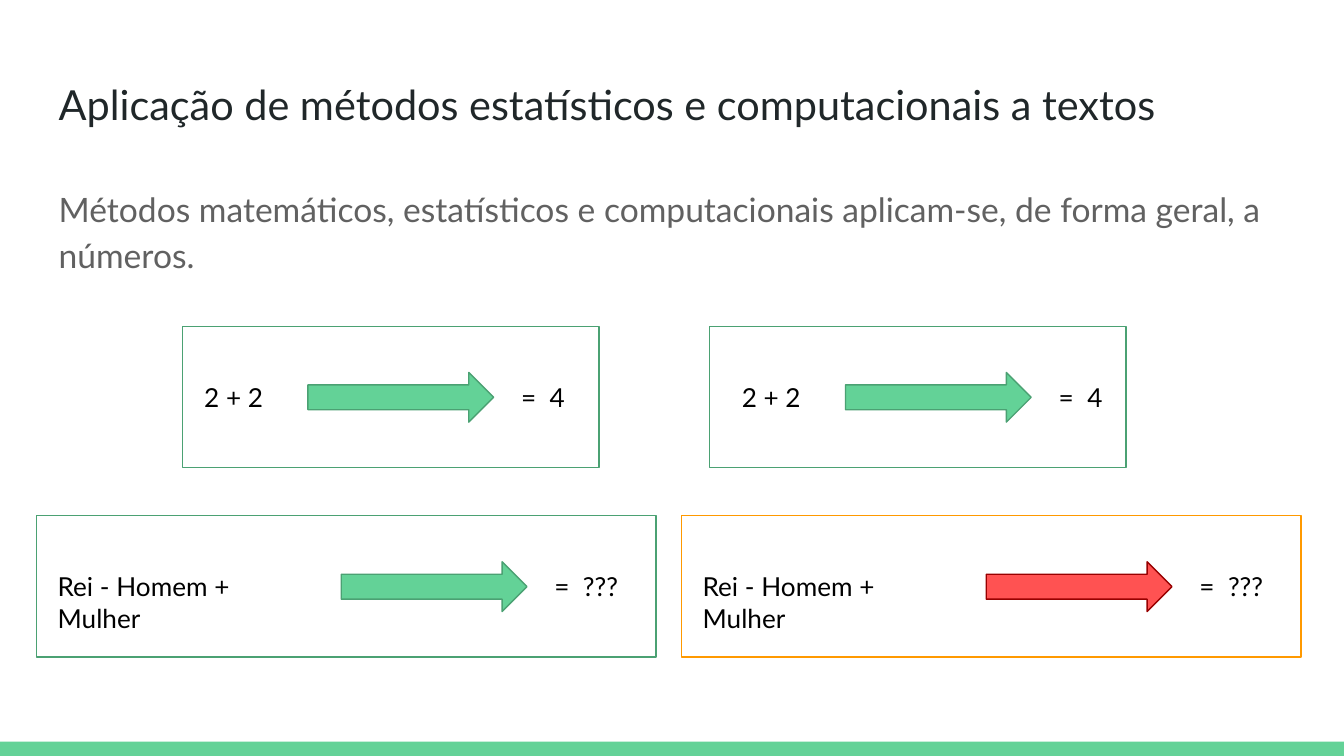
from pptx import Presentation
from pptx.dml.color import RGBColor
from pptx.enum.shapes import MSO_SHAPE as Shape
from pptx.enum.text import MSO_AUTO_SIZE as AutoSize
from pptx.util import Cm, Pt

GREEN, DARK_GREEN = "63D297", "4BA173"
RED, DARK_RED, ORANGE = "FF5252", "980000", "FF9900"
BLACK, TITLE_COLOR, BODY_COLOR = "000000", "202729", "616161"


def color(value):
    return RGBColor.from_string(value)


class SlideBuilder:
    font = "Lato"
    inset = Cm(0.25)
    line_width = Pt(0.75)

    def __init__(self, slide):
        self.slide = slide

    def shape(self, kind, left, top, width, height, fill=None, line=None):
        shape = self.slide.shapes.add_shape(
            kind, Cm(left), Cm(top), Cm(width), Cm(height))
        shape.shadow.inherit = False
        if fill:
            shape.fill.solid()
            shape.fill.fore_color.rgb = color(fill)
        else:
            shape.fill.background()
        if line:
            shape.line.color.rgb = color(line)
            shape.line.width = self.line_width
        else:
            shape.line.fill.background()
        return shape

    def text(self, text, left, top, width, height, size=14, ink=BLACK):
        box = self.slide.shapes.add_textbox(
            Cm(left), Cm(top), Cm(width), Cm(height))
        frame = box.text_frame
        frame.word_wrap = True
        frame.auto_size = AutoSize.NONE
        frame.margin_left = frame.margin_right = self.inset
        frame.margin_top = frame.margin_bottom = self.inset
        frame.text = text
        paragraph = frame.paragraphs[0]
        for run in paragraph.runs:
            run.font.name = self.font
            run.font.size = Pt(size)
            run.font.color.rgb = color(ink)
        return paragraph

    def equation(self, frame, expression, arrow_left, result,
                 border=DARK_GREEN, fill=GREEN, outline=DARK_GREEN):
        left, top, width = frame
        label, label_left, label_width = expression
        answer, answer_width = result
        self.shape(Shape.RECTANGLE, left, top, width, 2.67, line=border)
        self.shape(Shape.RIGHT_ARROW, arrow_left, top + 0.87, 3.51, 0.94,
                   fill, outline)
        self.text(label, label_left, top + 0.79, label_width, 1.12)
        self.text(answer, arrow_left + 3.78, top + 0.79, answer_width, 1.12)


def main():
    presentation = Presentation()
    presentation.slide_width = Cm(25.4)
    presentation.slide_height = Cm(14.29)
    slide = presentation.slides.add_slide(presentation.slide_layouts[6])
    builder = SlideBuilder(slide)

    builder.shape(Shape.RECTANGLE, 0, 14.02, 25.4, 0.27, GREEN)
    builder.text("Aplicação de métodos estatísticos e computacionais a textos",
                 0.86, 1.24, 23.67, 1.6, 22.2, TITLE_COLOR)
    body = builder.text(
        "Métodos matemáticos, estatísticos e computacionais aplicam-se, "
        "de forma geral, a números.",
        0.86, 3.2, 23.67, 2.24, 18, BODY_COLOR)
    body.line_spacing = 1.15
    body.space_after = Pt(12)

    for box_left, label_left in ((3.45, 3.61), (13.41, 13.77)):
        builder.equation((box_left, 6.17, 7.87), ("2 + 2", label_left, 2.03),
                         label_left + 2.21, ("=  4", 1.63))

    word_colors = ((DARK_GREEN, GREEN, DARK_GREEN), (ORANGE, RED, DARK_RED))
    for index, colors in enumerate(word_colors):
        left = 0.69 + 12.19 * index
        builder.equation((left, 9.75, 11.71),
                         ("Rei - Homem + Mulher", left + 0.15, 5.31),
                         left + 5.76, ("=  ???", 2.44), *colors)

    presentation.save("out.pptx")


if __name__ == "__main__":
    main()
